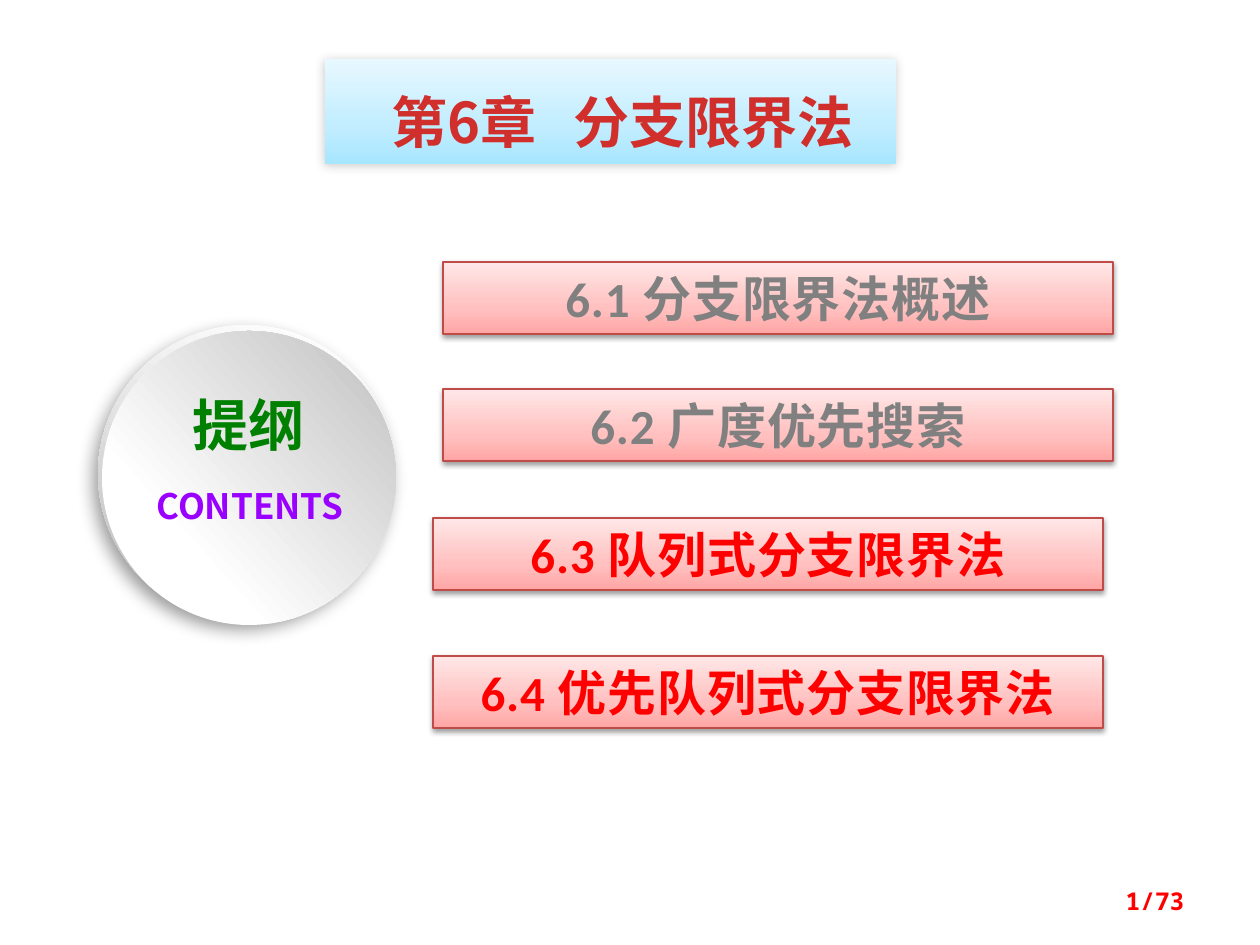
"""Build the outline slide of a chapter on branch and bound."""
import dataclasses
import typing

import lxml.etree
import pptx
import pptx.dml.color
import pptx.enum.shapes
import pptx.enum.text
import pptx.oxml
import pptx.oxml.ns
import pptx.util

EMU_PER_PX = 914400 / 126
Stops = tuple[tuple[int, str], ...]
Align = pptx.enum.text.PP_ALIGN
Preset = pptx.enum.shapes.MSO_SHAPE


@dataclasses.dataclass(frozen=True)
class Theme:
    cjk: str = "Noto Sans CJK SC"
    latin: str = "Calibri"
    mono: str = "Noto Sans Mono"
    heading_size: int = 32
    item_size: int = 28
    caption_size: int = 20
    page_size: int = 14
    heading: str = "D02F2C"
    muted: str = "808080"
    active: str = "FF0000"
    outline: str = "008000"
    caption: str = "9900FF"
    border: str = "BF4C48"
    blue: Stops = ((0, "A7E6FF"), (35, "C1EDFF"), (100, "E7F8FF"))
    pink: Stops = ((0, "FFA6A5"), (35, "FFC0BF"), (100, "FFE7E7"))
    rim: Stops = ((17, "FFFFFF"), (88, "B8B8B8"))
    disc: Stops = ((29, "FFFFFF"), (98, "BFBFBF"))


class Box(typing.NamedTuple):
    left: int
    top: int
    width: int
    height: int


class Shadow(typing.NamedTuple):
    opacity: int
    blur: float
    distance: float
    direction: int


class Item(typing.NamedTuple):
    text: str
    left: int
    top: int
    color: str


class Disc(typing.NamedTuple):
    box: Box
    rotation: float
    stops: Stops
    shadow: Shadow | None


THEME = Theme()
ITEM_SHADOW = Shadow(38, 3.1, 1.6, 90)
ITEMS = (
    Item("6.1 分支限界法概述", 443, 262, THEME.muted),
    Item("6.2 广度优先搜索", 443, 389, THEME.muted),
    Item("6.3 队列式分支限界法", 433, 518, THEME.active),
    Item("6.4 优先队列式分支限界法", 433, 656, THEME.active),
)
DISCS = (
    Disc(Box(98, 325, 297, 297), 62.3, THEME.rim, Shadow(39, 10, 5, 123)),
    Disc(Box(102, 331, 294, 294), 273, THEME.disc, None),
)


def px(value: float) -> int:
    """Turn pixels into EMU."""
    return round(value * EMU_PER_PX)


def place(shape, box: Box) -> None:
    """Move and size a shape."""
    shape.left, shape.top, shape.width, shape.height = map(px, box)


def paint(shape, stops: Stops, angle: int, shadow: Shadow | None = None) -> None:
    """Give a shape a linear gradient and an optional outer shadow."""
    shape.fill.background()
    properties = shape._element.spPr
    colors = "".join(
        f'<a:gs pos="{position * 1000}"><a:srgbClr val="{color}"/></a:gs>'
        for position, color in stops
    )
    gradient = pptx.oxml.parse_xml(
        f'<a:gradFill {pptx.oxml.ns.nsdecls("a")} rotWithShape="1"><a:gsLst>{colors}</a:gsLst>'
        f'<a:lin ang="{angle * 60000}" scaled="0"/></a:gradFill>'
    )
    properties.replace(properties.find(pptx.oxml.ns.qn("a:noFill")), gradient)
    shape.shadow.inherit = False
    if shadow:
        effects = properties.find(pptx.oxml.ns.qn("a:effectLst"))
        effects.append(pptx.oxml.parse_xml(
            f'<a:outerShdw {pptx.oxml.ns.nsdecls("a")} blurRad="{round(shadow.blur * 12700)}" '
            f'dist="{round(shadow.distance * 12700)}" dir="{shadow.direction * 60000}" rotWithShape="0">'
            f'<a:srgbClr val="000000"><a:alpha val="{shadow.opacity * 1000}"/></a:srgbClr></a:outerShdw>'
        ))


def write(shape, text: str, *, size: int, color: str, font: str = THEME.cjk,
          align: Align = Align.CENTER, spacing: float = 0) -> None:
    """Add a bold run to the first paragraph of a shape."""
    frame = shape.text_frame
    frame.word_wrap = True
    frame.auto_size = pptx.enum.text.MSO_AUTO_SIZE.NONE
    frame.vertical_anchor = pptx.enum.text.MSO_ANCHOR.MIDDLE
    paragraph = frame.paragraphs[0]
    paragraph.alignment = align
    paragraph.space_before = pptx.util.Pt(0)
    run = paragraph.add_run()
    run.text = text
    run.font.size = pptx.util.Pt(size)
    run.font.bold = True
    run.font.name = font
    run.font.color.rgb = pptx.dml.color.RGBColor.from_string(color)
    properties = run._r.get_or_add_rPr()
    if spacing:
        properties.set("spc", str(round(spacing * 100)))
    east_asian = lxml.etree.SubElement(properties, pptx.oxml.ns.qn("a:ea"))
    east_asian.set("typeface", THEME.cjk)


def add_title(slide) -> None:
    """Format the title placeholder as the chapter banner."""
    title = slide.shapes.title
    place(title, Box(325, 59, 571, 105))
    paint(title, THEME.blue, 270, Shadow(20, 6, 1, 135))
    title.text_frame.margin_left = px(37)
    title.text_frame.margin_right = px(13)
    title.text_frame.margin_top = px(25)
    title.text_frame.margin_bottom = px(6)
    for text, spacing in (("第6章", 0), (" ", 14), ("分支限界法", 0)):
        write(title, text, size=THEME.heading_size, color=THEME.heading, spacing=spacing)


def add_item(slide, item: Item) -> None:
    """Draw one section bar."""
    bar = slide.shapes.add_shape(Preset.RECTANGLE, 0, 0, 0, 0)
    place(bar, Box(item.left, item.top, 670, 72))
    paint(bar, THEME.pink, 270, ITEM_SHADOW)
    bar.line.color.rgb = pptx.dml.color.RGBColor.from_string(THEME.border)
    bar.line.width = pptx.util.Pt(0.75)
    write(bar, item.text, size=THEME.item_size, color=item.color, font=THEME.latin, spacing=0.5)


def add_disc(slide, disc: Disc) -> None:
    """Draw one layer of the round badge."""
    oval = slide.shapes.add_shape(Preset.OVAL, 0, 0, 0, 0)
    place(oval, disc.box)
    oval.rotation = disc.rotation
    paint(oval, disc.stops, 45, disc.shadow)
    oval.line.fill.background()


def add_label(slide, text: str, box: Box, **style) -> None:
    """Add a text box with one formatted line."""
    write(slide.shapes.add_textbox(*map(px, box)), text, **style)


def main() -> None:
    """Build and save the slide."""
    presentation = pptx.Presentation()
    presentation.slide_width, presentation.slide_height = px(1260), px(945)
    slide = presentation.slides.add_slide(presentation.slide_layouts[5])
    add_title(slide)
    for disc in DISCS:
        add_disc(slide, disc)
    add_label(slide, "CONTENTS", Box(134, 478, 232, 55), size=THEME.caption_size, color=THEME.caption)
    add_label(slide, "提纲", Box(152, 384, 194, 81), size=THEME.heading_size, color=THEME.outline)
    for item in ITEMS:
        add_item(slide, item)
    add_label(slide, "1/73", Box(903, 876, 294, 50), size=THEME.page_size, color=THEME.active,
              font=THEME.mono, align=Align.RIGHT)
    presentation.save("out.pptx")


if __name__ == "__main__":
    main()
